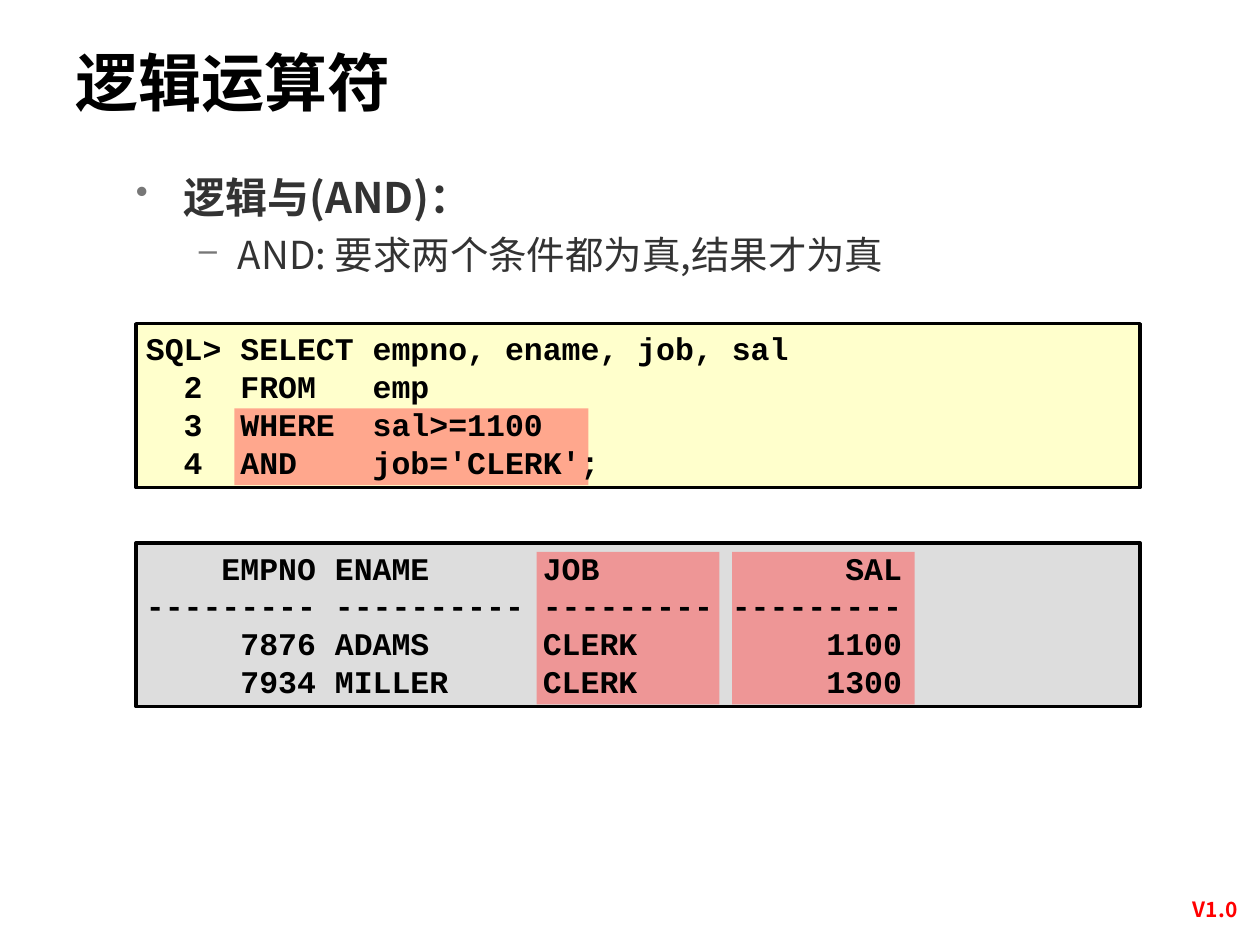
from lxml import etree
from pptx import Presentation
from pptx import util as u
from pptx.dml.color import RGBColor
from pptx.enum import shapes, text
from pptx.oxml.ns import qn

BLACK = RGBColor(0, 0, 0)
RED = RGBColor(0xFF, 0, 0)
DARK = RGBColor(0x33, 0x33, 0x33)
BULLET = RGBColor(0x77, 0x77, 0x77)
CREAM = RGBColor(0xFF, 0xFF, 0xCC)
SILVER = RGBColor(0xDD, 0xDD, 0xDD)
CORAL = RGBColor(0xFF, 0x50, 0x50)
SANS = "Noto Sans CJK SC"
MONO = "Courier New"
WIDTH, HEIGHT = u.Inches(10), u.Inches(7.5)

QUERY = [
    "SQL> SELECT empno, ename, job, sal",
    "  2  FROM   emp",
    "  3  WHERE  sal>=1100",
    "  4  AND    job='CLERK';",
]
RESULT = [
    "    EMPNO ENAME      JOB             SAL",
    "--------- ---------- --------- ---------",
    "     7876 ADAMS      CLERK          1100",
    "     7934 MILLER     CLERK          1300",
]


def area(x, y, w, h):
    return [int(share * size / 100) for share, size in
            ((x, WIDTH), (y, HEIGHT), (w, WIDTH), (h, HEIGHT))]


def add_rect(s, box, fill, line=None, alpha=None):
    sp = s.shapes.add_shape(shapes.MSO_SHAPE.RECTANGLE, *area(*box))
    sp.shadow.inherit = False
    sp.fill.solid()
    sp.fill.fore_color.rgb = fill
    if alpha:
        color = sp.fill._xPr.find(qn("a:solidFill"))[0]
        etree.SubElement(color, qn("a:alpha"), val=str(alpha * 1000))
    if line:
        sp.line.color.rgb = line
        sp.line.width = u.Pt(2)
    else:
        sp.line.fill.background()


def style(p, size, font, color, bold=True):
    for r in p.runs:
        r.font.size = u.Pt(size)
        r.font.name = font
        r.font.bold = bold
        r.font.color.rgb = color
        etree.SubElement(r._r.get_or_add_rPr(), qn("a:ea"), typeface=font)


def add_text(s, box, lines, size, font, color, anchor=text.MSO_ANCHOR.TOP):
    tf = s.shapes.add_textbox(*area(*box)).text_frame
    tf.word_wrap = True
    tf.vertical_anchor = anchor
    tf.text = "\n".join(lines)
    for p in tf.paragraphs:
        style(p, size, font, color)
    return tf


def add_bullet(p, char, margin, hang):
    pPr = p._p.get_or_add_pPr()
    pPr.set("marL", str(u.Inches(margin)))
    pPr.set("indent", str(-u.Inches(hang)))
    color = etree.SubElement(pPr, qn("a:buClr"))
    etree.SubElement(color, qn("a:srgbClr"), val=str(BULLET))
    etree.SubElement(pPr, qn("a:buSzPct"), val="85000")
    etree.SubElement(pPr, qn("a:buChar"), char=char)
    p.line_spacing = 1.2


def add_outline(s):
    tf = add_text(s, (9.8, 16.4, 86, 14.27),
                  ["逻辑与(AND)：", "AND: 要求两个条件都为真,结果才为真"],
                  24, SANS, DARK)
    head, detail = tf.paragraphs
    add_bullet(head, "•", 0.38, 0.38)
    detail.level = 1
    add_bullet(detail, "–", 0.81, 0.31)
    for r in detail.runs:
        r.font.size = u.Pt(22)
        r.font.bold = False


def add_listing(s, top, lines, fill, marks):
    add_rect(s, (10.8, top, 79.7, 17.33), fill, BLACK)
    for mark in marks:
        add_rect(s, mark, CORAL, alpha=50)
    add_text(s, (10.6, top - 0.25, 80, 17.73), lines, 18, MONO, BLACK,
             text.MSO_ANCHOR.MIDDLE)


def main():
    prs = Presentation()
    prs.slide_width, prs.slide_height = WIDTH, HEIGHT
    s = prs.slides.add_slide(prs.slide_layouts[6])
    tf = add_text(s, (92.9, 94.27, 7.1, 4), ["V1.0"], 12, SANS, RED)
    tf.paragraphs[0].alignment = text.PP_ALIGN.CENTER
    add_text(s, (5, 4, 79.7, 10.27), ["逻辑运算符"], 36, SANS, BLACK)
    add_listing(s, 34.25, QUERY, CREAM, [(18.6, 43.2, 28.1, 8.13)])
    add_listing(s, 57.45, RESULT, SILVER,
                [(x, 58.4, 14.5, 16.13) for x in (42.6, 58.1)])
    add_outline(s)
    prs.save("out.pptx")


if __name__ == "__main__":
    main()
